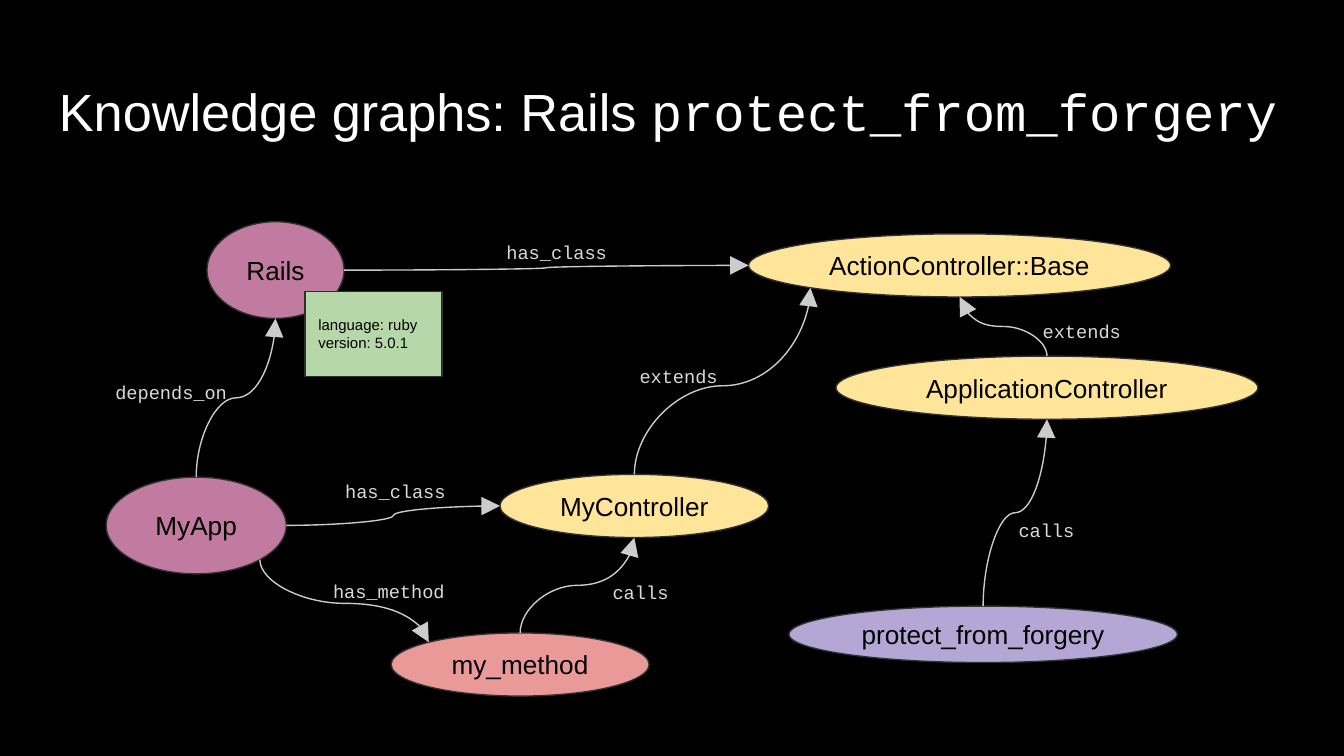
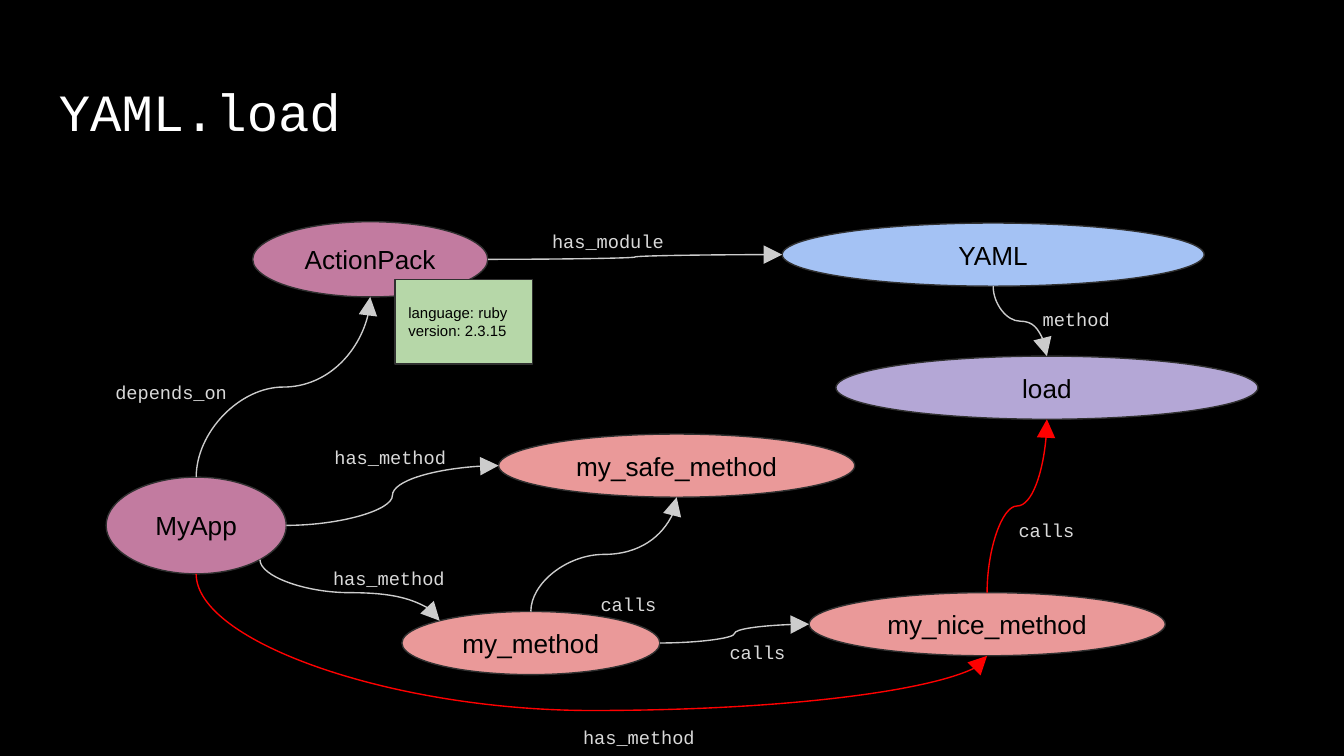
import pptx
import pptx.util
import pptx.dml.color
import pptx.enum.shapes
import pptx.enum.text
import pptx.oxml
import pptx.oxml.ns

Inches, Pt = pptx.util.Inches, pptx.util.Pt
RGB = pptx.dml.color.RGBColor
SHAPE = pptx.enum.shapes.MSO_SHAPE
ALIGN = pptx.enum.text.PP_ALIGN
ANCHOR = pptx.enum.text.MSO_ANCHOR

BLACK = RGB(0x00, 0x00, 0x00)
WHITE = RGB(0xFF, 0xFF, 0xFF)
OUTLINE = RGB(0x30, 0x30, 0x30)
LABEL_GRAY = RGB(0xD9, 0xD9, 0xD9)
EDGE_GRAY = RGB(0xCC, 0xCC, 0xCC)
RED = RGB(0xFF, 0x00, 0x00)
MAUVE = RGB(0xC2, 0x7B, 0xA0)
YELLOW = RGB(0xFF, 0xE5, 0x99)
PURPLE = RGB(0xB4, 0xA7, 0xD6)
SALMON = RGB(0xEA, 0x99, 0x99)
BLUE = RGB(0xA4, 0xC2, 0xF4)
GREEN = RGB(0xB6, 0xD7, 0xA8)

SANS, MONO = "Arial", "Courier New"
TITLE = {"size": Pt(28), "color": WHITE}
NODE = {"name": SANS, "size": Pt(14), "color": BLACK}
NOTE = {"name": SANS, "size": Pt(8), "color": BLACK}
LABEL = {"name": MONO, "size": Pt(10), "color": LABEL_GRAY}

DIAGONAL = 0.5 ** 0.5
SITES = {
    "top": (0, -1), "bottom": (0, 1), "left": (-1, 0), "right": (1, 0),
    "top left": (-DIAGONAL, -DIAGONAL), "bottom left": (-DIAGONAL, DIAGONAL),
    "bottom right": (DIAGONAL, DIAGONAL),
}


class GraphDeck:
    def __init__(self):
        self.prs = pptx.Presentation()
        self.prs.slide_width = Inches(10)
        self.prs.slide_height = Inches(10) * 9 // 16
        self.s = None
        self.nodes = {}

    def slide(self, *title_runs):
        self.s = self.prs.slides.add_slide(self.prs.slide_layouts[6])
        self.nodes = {}
        fill = self.s.background.fill
        fill.solid()
        fill.fore_color.rgb = BLACK
        p = self.text_box(0.34, 0.49, 9.32, 0.63).paragraphs[0]
        for text, name in title_runs:
            self.run(p, text, dict(TITLE, name=name))

    def run(self, p, text, style):
        r = p.add_run()
        r.text = text
        for key, value in style.items():
            if key == "color":
                r.font.color.rgb = value
            else:
                setattr(r.font, key, value)

    def frame(self, sp, anchor):
        tf = sp.text_frame
        values = {"word_wrap": True, "vertical_anchor": anchor}
        values.update({f"margin_{side}": Inches(0.1)
                       for side in ("left", "top", "right", "bottom")})
        for key, value in values.items():
            setattr(tf, key, value)
        return tf

    def text_box(self, x, y, w, h):
        sp = self.s.shapes.add_textbox(*map(Inches, (x, y, w, h)))
        return self.frame(sp, ANCHOR.TOP)

    def shape(self, kind, box, color, lines, style, align):
        sp = self.s.shapes.add_shape(kind, *map(Inches, box))
        sp.shadow.inherit = False
        sp.fill.solid()
        sp.fill.fore_color.rgb = color
        sp.line.color.rgb = OUTLINE
        sp.line.width = Pt(0.75)
        tf = self.frame(sp, ANCHOR.MIDDLE)
        for i, line in enumerate(lines):
            p = tf.add_paragraph() if i else tf.paragraphs[0]
            p.alignment = align
            self.run(p, line, style)

    def node(self, name, color, x, y, w, h=0.47):
        self.nodes[name] = (x, y, w, h)
        self.shape(SHAPE.OVAL, (x, y, w, h), color, [name], NODE, ALIGN.CENTER)

    def note(self, x, y, *lines):
        self.shape(SHAPE.RECTANGLE, (x, y, 1.02, 0.63), GREEN, lines, NOTE, ALIGN.LEFT)

    def label(self, text, x, y):
        p = self.text_box(x, y, 0.95 if len(text) < 9 else 1.1, 0.47).paragraphs[0]
        p.line_spacing = 1.15
        self.run(p, text, LABEL)

    def site(self, name, side):
        x, y, w, h = self.nodes[name]
        dx, dy = SITES[side]
        return x + w / 2 * (1 + dx), y + h / 2 * (1 + dy)

    def edge(self, source, start, target, end, color=EDGE_GRAY, bend=0.5):
        """Curve between two node sites; bend places the middle of the S along it."""
        x1, y1 = self.site(source, start)
        x2, y2 = self.site(target, end)
        vertical = start not in ("left", "right")
        if vertical:  # a curved connector leaves sideways, so lay it flat, then turn it
            cx, cy, dx, dy = (x1 + x2) / 2, (y1 + y2) / 2, (x2 - x1) / 2, (y2 - y1) / 2
            x1, y1, x2, y2 = cx + dy, cy - dx, cx - dy, cy + dx
        c = self.s.shapes.add_connector(pptx.enum.shapes.MSO_CONNECTOR.CURVE,
                                        *map(Inches, (x1, y1, x2, y2)))
        if vertical:
            c.rotation = 270
        c.line.color.rgb = color
        c.line.width = Pt(0.75)
        ns = pptx.oxml.ns.nsdecls("a")
        spPr = c._element.spPr
        spPr.find(".//" + pptx.oxml.ns.qn("a:avLst")).append(pptx.oxml.parse_xml(
            f'<a:gd {ns} name="adj1" fmla="val {round(bend * 100000)}"/>'))
        spPr.find(pptx.oxml.ns.qn("a:ln")).append(pptx.oxml.parse_xml(
            f'<a:tailEnd {ns} type="triangle" w="lg" len="lg"/>'))
        spPr.append(pptx.oxml.parse_xml(f"<a:effectLst {ns}/>"))

    def my_app(self):
        self.node("MyApp", MAUVE, 0.79, 3.55, 1.34, 0.72)
        self.label("depends_on", 0.76, 2.71)

    def labels(self, items):
        for item in items:
            self.label(*item)


def forgery_slide(deck):
    deck.slide(("Knowledge graphs: Rails ", SANS), ("protect_from_forgery", MONO))
    base, app = "ActionController::Base", "ApplicationController"
    deck.my_app()
    deck.node("Rails", MAUVE, 1.54, 1.65, 1.02, 0.72)
    deck.node(base, YELLOW, 5.57, 1.74, 3.14)
    deck.node("protect_from_forgery", PURPLE, 5.87, 4.51, 2.89, 0.42)
    deck.node("my_method", SALMON, 2.91, 4.71, 1.92)
    deck.node(app, YELLOW, 6.22, 2.65, 3.14)
    deck.node("MyController", YELLOW, 3.72, 3.53, 2)
    deck.edge("MyApp", "bottom right", "my_method", "top left", bend=0.53)
    deck.edge("MyApp", "right", "MyController", "left")
    deck.edge("Rails", "right", base, "left")
    deck.edge("MyController", "top", base, "bottom left", bend=0.475)
    deck.edge(app, "top", base, "bottom")
    deck.edge("protect_from_forgery", "top", app, "bottom")
    deck.edge("my_method", "top", "MyController", "bottom")
    deck.edge("MyApp", "top", "Rails", "bottom")
    deck.labels([
        ("calls", 7.48, 3.74), ("calls", 4.46, 4.2),
        ("extends", 4.66, 2.59), ("extends", 7.66, 2.26),
        ("has_class", 3.67, 1.67), ("has_class", 2.47, 3.45),
        ("has_method", 2.38, 4.19),
    ])
    deck.note(2.27, 2.17, "language: ruby", "version: 5.0.1")


def yaml_slide(deck):
    deck.slide(("YAML.load", MONO))
    safe, nice = "my_safe_method", "my_nice_method"
    deck.my_app()
    deck.node("YAML", BLUE, 5.82, 1.66, 3.14)
    deck.node("my_method", SALMON, 2.99, 4.55, 1.92)
    deck.node("load", PURPLE, 6.22, 2.65, 3.14)
    deck.node(safe, SALMON, 3.71, 3.23, 2.65)
    deck.node(nice, SALMON, 6.02, 4.41, 2.65)
    deck.node("ActionPack", MAUVE, 1.88, 1.65, 1.75, 0.56)
    deck.edge("MyApp", "bottom right", "my_method", "top left", bend=0.541)
    deck.edge("MyApp", "right", safe, "left")
    deck.edge("ActionPack", "right", "YAML", "left")
    deck.edge("YAML", "bottom", "load", "top")
    deck.edge(nice, "top", "load", "bottom", RED)
    deck.edge("my_method", "top", safe, "bottom")
    deck.edge("MyApp", "top", "ActionPack", "bottom")
    deck.edge("my_method", "right", nice, "left")
    deck.edge("MyApp", "bottom", nice, "bottom", RED, bend=1.667)
    deck.labels([
        ("calls", 7.48, 3.74), ("calls", 4.37, 4.29), ("calls", 5.33, 4.65),
        ("method", 7.66, 2.17), ("has_module", 4.01, 1.59),
        ("has_method", 2.39, 3.2), ("has_method", 2.38, 4.1),
        ("has_method", 4.24, 5.28),
    ])
    deck.note(2.94, 2.08, "language: ruby", "version: 2.3.15")


def main():
    deck = GraphDeck()
    forgery_slide(deck)
    yaml_slide(deck)
    deck.prs.save("out.pptx")


if __name__ == "__main__":
    main()
